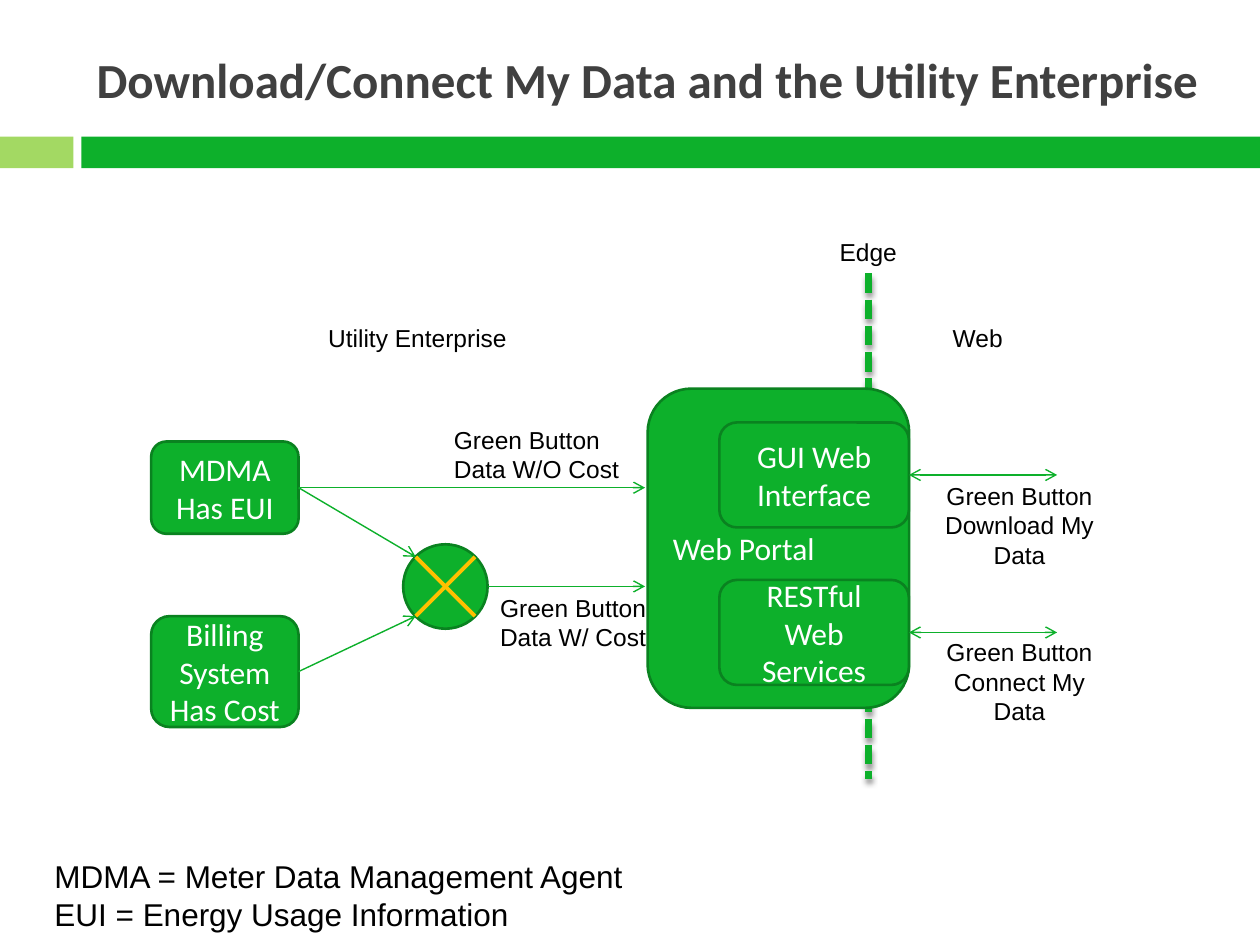
"""Build the slide on Green Button data flow in the utility enterprise."""
from lxml.etree import SubElement as Sub
from pptx import Presentation
from pptx.dml.color import RGBColor
from pptx.enum.dml import MSO_LINE
from pptx.enum.shapes import MSO_CONNECTOR, MSO_SHAPE as Kind
from pptx.enum.text import MSO_ANCHOR as Anchor, MSO_AUTO_SIZE as Auto, PP_ALIGN as Align
from pptx.oxml.ns import qn
from pptx.util import Inches, Pt

GREEN, DARK, LIME, GOLD = "0DB02B", "0A8220", "A3D963", "FFC000"
WHITE, BLACK, GRAY = "FFFFFF", "000000", "404040"
LEFT, MID = Align.LEFT, Align.CENTER


def paint(part, code):
    if hasattr(part, "solid"):
        part.solid()
        part = part.fore_color
    part.rgb = RGBColor.from_string(code)


def write(shape, lines, size, face, code, align, bold=False):
    frame = shape.text_frame
    for i, line in enumerate(lines):
        para = frame.add_paragraph() if i else frame.paragraphs[0]
        para.alignment = align
        run = para.add_run()
        run.text = line
        run.font.size, run.font.name, run.font.bold = Pt(size), face, bold
        paint(run.font.color, code)


deck = Presentation()
deck.slide_width, deck.slide_height = Inches(10), Inches(7.5)
col, row = deck.slide_width / 100, deck.slide_height / 75
slide = deck.slides.add_slide(deck.slide_layouts[5])
shapes = slide.shapes

for x, wide, code in [(0, 5.83, LIME), (6.46, 93.54, GREEN)]:
    bar = shapes.add_shape(Kind.RECTANGLE, int(x * col), int(10.84 * row),
                           int(wide * col), int(2.5 * row))
    bar.shadow.inherit = False
    paint(bar.fill, code)
    bar.line.fill.background()

title = shapes.title
title.left, title.top = int(6.67 * col), int(1.7 * row)
title.width, title.height = int(91.9 * col), int(9.2 * row)
title.text_frame.vertical_anchor = Anchor.MIDDLE
write(title, ["Download/Connect My Data and the Utility Enterprise"],
      28, "Calibri", GRAY, LEFT, True)

edge = shapes.add_connector(MSO_CONNECTOR.STRAIGHT, int(68.94 * col), int(21.7 * row),
                            int(68.94 * col), int(61.8 * row))
paint(edge.line.fill, GREEN)
edge.line.width, edge.line.dash_style = Pt(3.75), MSO_LINE.SQUARE_DOT
glow = Sub(Sub(edge._element.spPr, qn("a:effectLst")), qn("a:outerShdw"),
           blurRad=str(Pt(3)), dist=str(Pt(2.4)), dir="5400000", rotWithShape="0")
Sub(Sub(glow, qn("a:srgbClr"), val=BLACK), qn("a:alpha"), val="45000")

ROUND = Kind.ROUNDED_RECTANGLE
boxes = {}
for key, kind, x, y, wide, high, lines, align in [
    ("mdma", ROUND, 12, 35.04, 11.7, 7.33, ["MDMA", "Has EUI"], MID),
    ("bill", ROUND, 12, 48.9, 11.7, 8.8, ["Billing System", "Has Cost"], MID),
    ("portal", ROUND, 51.4, 30.85, 20.75, 25.33, ["Web Portal"], LEFT),
    ("mixer", Kind.OVAL, 32, 43.2, 6.7, 6.7, None, MID),
    ("gui", ROUND, 57.1, 33.53, 15.04, 8.33, ["GUI Web Interface"], MID),
    ("rest", ROUND, 57.1, 46.03, 15.04, 8.33, ["RESTful Web Services"], MID),
]:
    box = shapes.add_shape(kind, int(x * col), int(y * row), int(wide * col), int(high * row))
    box.shadow.inherit = False
    paint(box.fill, GREEN)
    paint(box.line.fill, DARK)
    box.line.width = Pt(1.5)
    if lines:
        box.text_frame.word_wrap = True
        box.text_frame.vertical_anchor = Anchor.MIDDLE
        write(box, lines, 18, "Calibri", WHITE, align)
    boxes[key] = box

for start, x1, y1, x2, y2, code, thick, ends in [
    ("mdma", 23.7, 38.7, 51.2, 38.7, GREEN, 0.79, ["tailEnd"]),
    (None, 33, 44.2, 37.7, 48.9, GOLD, 2.25, []),
    (None, 33, 48.9, 37.7, 44.2, GOLD, 2.25, []),
    ("mdma", 23.7, 38.7, 33, 44.2, GREEN, 0.79, ["tailEnd"]),
    ("bill", 23.7, 53.3, 33, 48.9, GREEN, 0.79, ["tailEnd"]),
    (None, 38.7, 46.54, 51.2, 46.54, GREEN, 0.79, ["tailEnd"]),
    ("gui", 72.14, 37.7, 83.9, 37.7, GREEN, 0.79, ["headEnd", "tailEnd"]),
    ("rest", 72.14, 50.2, 83.9, 50.2, GREEN, 0.79, ["headEnd", "tailEnd"]),
]:
    link = shapes.add_connector(MSO_CONNECTOR.STRAIGHT, int(x1 * col), int(y1 * row),
                                int(x2 * col), int(y2 * row))
    if start:
        link.begin_connect(boxes[start], 3)
        if y1 == y2:
            link.end_y = link.begin_y
    paint(link.line.fill, code)
    link.line.width = Pt(thick)
    for end in ends:
        Sub(link.line._ln, qn("a:" + end), type="arrow")
    Sub(link._element.spPr, qn("a:effectLst"))

for x, y, wide, high, lines, size, align, wrap in [
    (35.04, 33.2, 15.9, 5.9, ["Green Button Data W/O Cost"], 14, LEFT, True),
    (38.7, 46.54, 15.9, 5.9, ["Green Button Data W/ Cost"], 14, LEFT, True),
    (25.06, 25.16, 27.9, 3.4, ["Utility Enterprise"], 14, LEFT, True),
    (74.63, 25.16, 15.9, 3.4, ["Web"], 14, LEFT, True),
    (72.96, 37.66, 15.9, 8.1, ["Green Button Download My Data"], 14, MID, True),
    (72.96, 50.1, 15.9, 8.1, ["Green Button Connect My Data"], 14, MID, True),
    (60.96, 18.3, 15.9, 3.4, ["Edge"], 14, MID, True),
    (3.34, 67.5, 47.5, 7.1, ["MDMA = Meter Data Management Agent",
                             "EUI = Energy Usage Information"], 18, LEFT, False),
]:
    label = shapes.add_textbox(int(x * col), int(y * row), int(wide * col), int(high * row))
    label.text_frame.word_wrap = wrap
    label.text_frame.auto_size = Auto.SHAPE_TO_FIT_TEXT
    write(label, lines, size, "Arial", BLACK, align)

deck.save("out.pptx")
